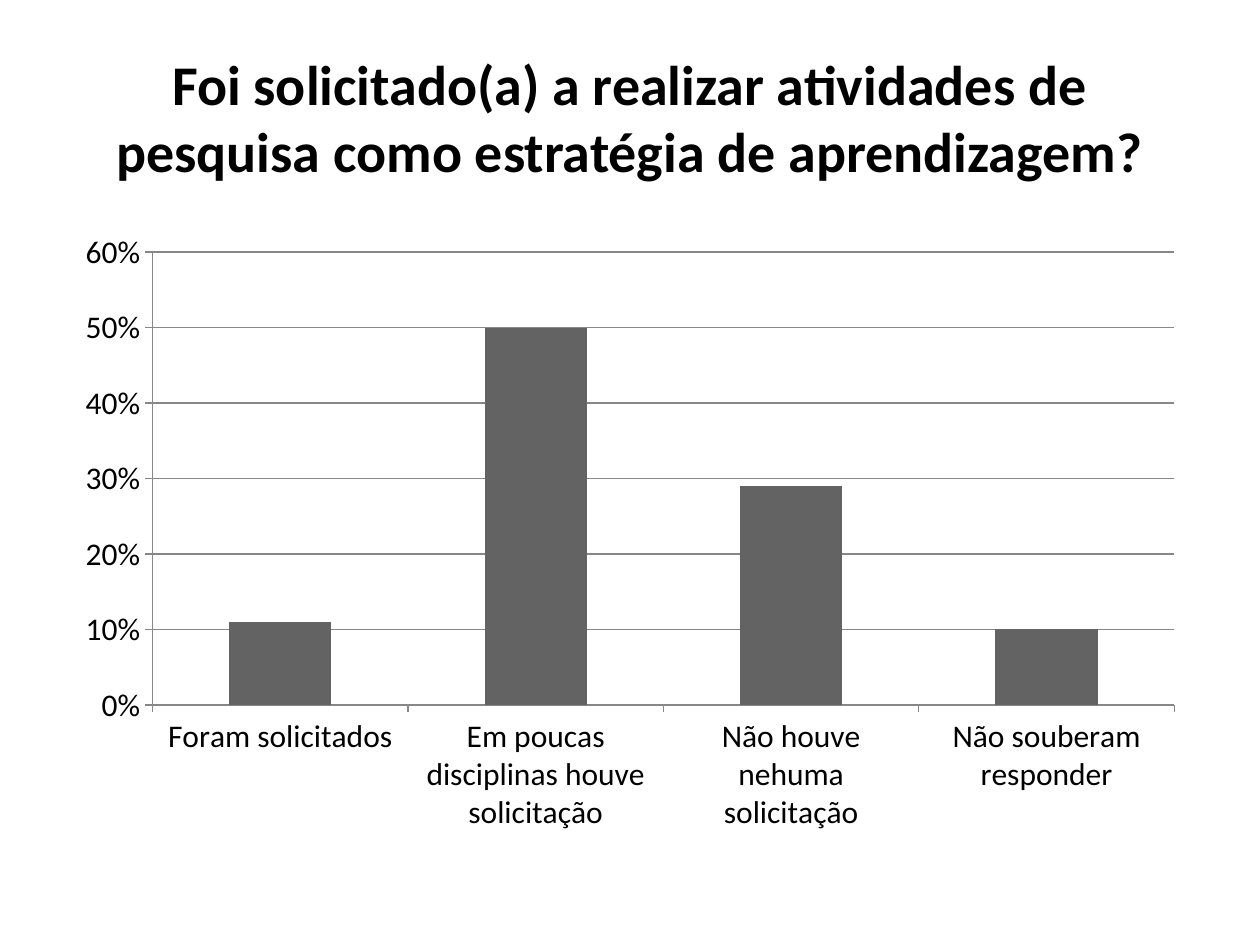
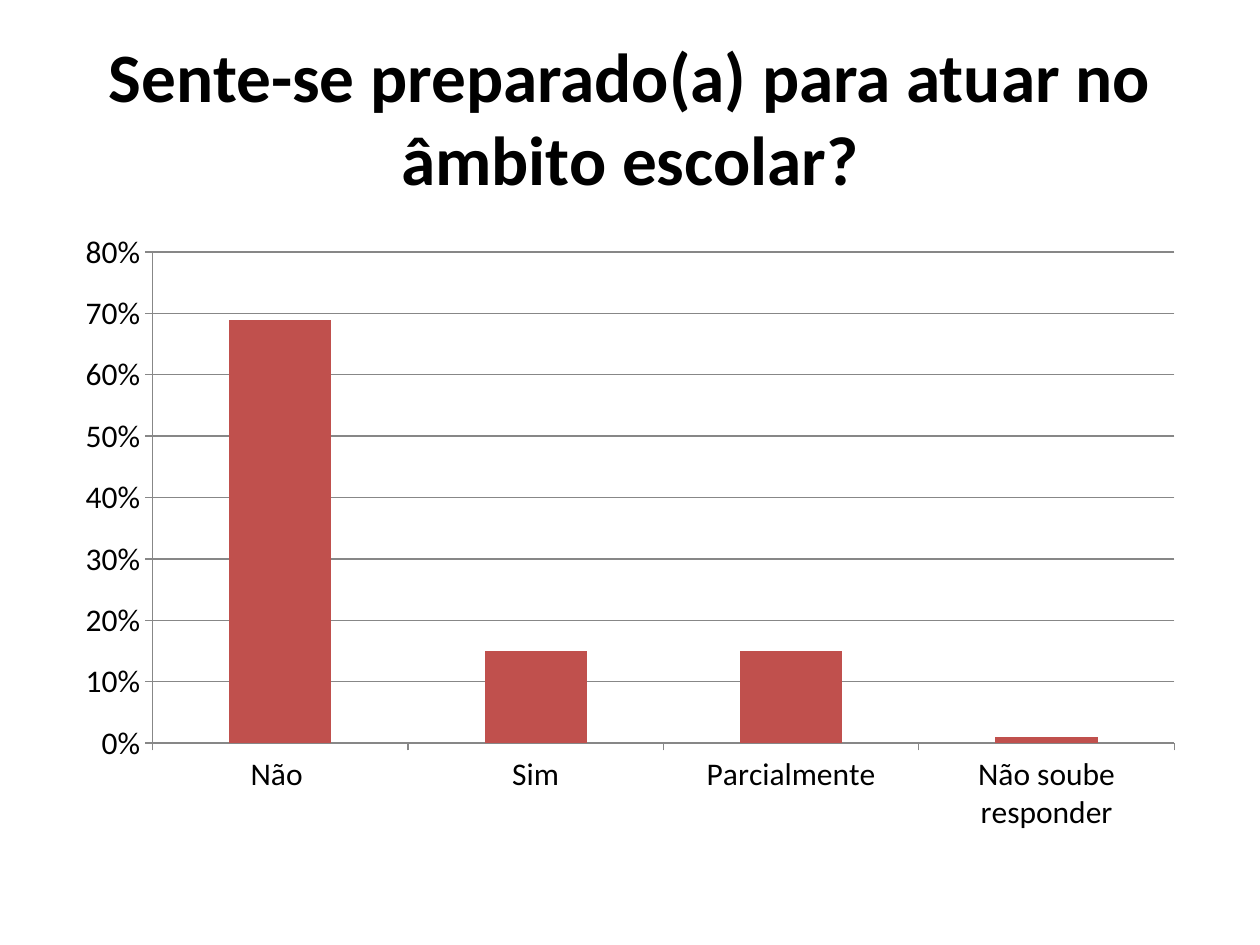
from dataclasses import dataclass
from typing import Any

from pptx import Presentation
from pptx.chart.data import CategoryChartData as Data
from pptx.dml.color import RGBColor as Rgb
from pptx.enum.chart import XL_CHART_TYPE as Kind, XL_TICK_MARK as Tick
from pptx.enum.text import MSO_ANCHOR as Anchor, PP_ALIGN as Align
from pptx.util import Pt


# Shared look: colours, type sizes and places
@dataclass(frozen=True)
class Theme:
    font: str = "Calibri"
    ink: Rgb = Rgb(0, 0, 0)
    paper: Rgb = Rgb(255, 255, 255)
    rule: Rgb = Rgb(0x87, 0x87, 0x87)
    grey: Rgb = Rgb(0x63, 0x63, 0x63)
    red: Rgb = Rgb(0xC0, 0x50, 0x4D)
    label: float = 18
    small: float = 32
    large: float = 39.6
    hair: float = 0.75
    left: float = 36
    width: float = 648


LOOK = Theme()


@dataclass(frozen=True)
class Survey:
    title: str
    size: float
    kind: Kind
    fill: Rgb
    top: float
    votes: dict[str, float]


# Survey questions and answers
PAGES = [
    Survey(
        "Foi solicitado(a) a realizar atividades de pesquisa como estratégia de aprendizagem?",
        LOOK.small, Kind.COLUMN_STACKED, LOOK.grey, 0.6,
        {"Foram solicitados": 0.11,
         "Em poucas disciplinas houve solicitação": 0.5,
         "Não houve nehuma solicitação": 0.29,
         "Não souberam responder": 0.1},
    ),
    Survey(
        "Sente-se preparado(a) para atuar no âmbito escolar?",
        LOOK.large, Kind.COLUMN_CLUSTERED, LOOK.red, 0.8,
        {"Não ": 0.69, "Sim": 0.15, "Parcialmente": 0.15,
         "Não soube responder": 0.01},
    ),
]


def apply(item: Any, vals: dict[str, Any]) -> None:
    for name, val in vals.items():
        setattr(item, name, val)


def style(font: Any, size: float, bold: bool = False) -> None:
    apply(font, {"name": LOOK.font, "size": Pt(size), "bold": bold})
    font.color.rgb = LOOK.ink


def stroke(part: Any) -> None:
    part.format.line.width = Pt(LOOK.hair)
    part.format.line.color.rgb = LOOK.rule


def head(slide: Any, page: Survey) -> None:
    box = slide.shapes.add_textbox(Pt(LOOK.left), Pt(21.6), Pt(LOOK.width), Pt(90))
    frame = box.text_frame
    apply(frame, {"word_wrap": True, "vertical_anchor": Anchor.MIDDLE})
    para = frame.paragraphs[0]
    para.alignment = Align.CENTER
    run = para.add_run()
    run.text = page.title
    style(run.font, page.size, True)


def graph(slide: Any, page: Survey) -> None:
    data = Data(number_format="0%")
    data.categories = list(page.votes)
    data.add_series("Series 1", list(page.votes.values()))
    chart = slide.shapes.add_chart(
        page.kind, Pt(LOOK.left), Pt(126), Pt(LOOK.width), Pt(356.4), data
    ).chart
    apply(chart, {"has_legend": False, "has_title": False})
    style(chart.font, LOOK.label)

    # Columns
    plot = chart.plots[0]
    apply(plot, {"gap_width": 150, "vary_by_categories": False,
                 "overlap": 100 if page.kind == Kind.COLUMN_STACKED else 0})
    fill = plot.series[0].format.fill
    fill.solid()
    fill.fore_color.rgb = page.fill

    # Axes and grid
    cats, vals = chart.category_axis, chart.value_axis
    for axis in (cats, vals):
        apply(axis, {"major_tick_mark": Tick.OUTSIDE, "minor_tick_mark": Tick.NONE})
        stroke(axis)
    apply(vals, {"minimum_scale": 0, "maximum_scale": page.top,
                 "major_unit": 0.1, "has_major_gridlines": True})
    apply(vals.tick_labels, {"number_format": "0%", "number_format_is_linked": False})
    stroke(vals.major_gridlines)


# Build the deck
deck = Presentation()
apply(deck, {"slide_width": Pt(720), "slide_height": Pt(540)})
for page in PAGES:
    slide = deck.slides.add_slide(deck.slide_layouts[6])
    back = slide.background.fill
    back.solid()
    back.fore_color.rgb = LOOK.paper
    head(slide, page)
    graph(slide, page)
deck.save("out.pptx")
